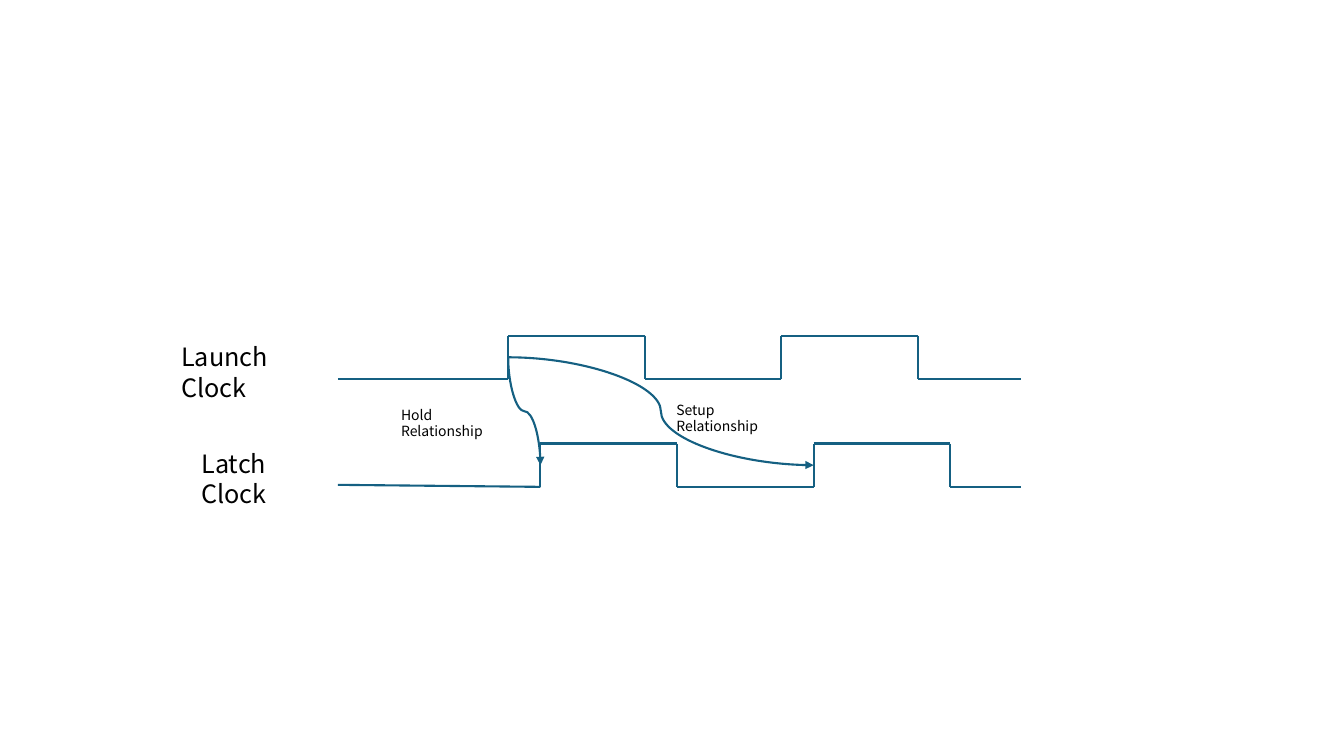
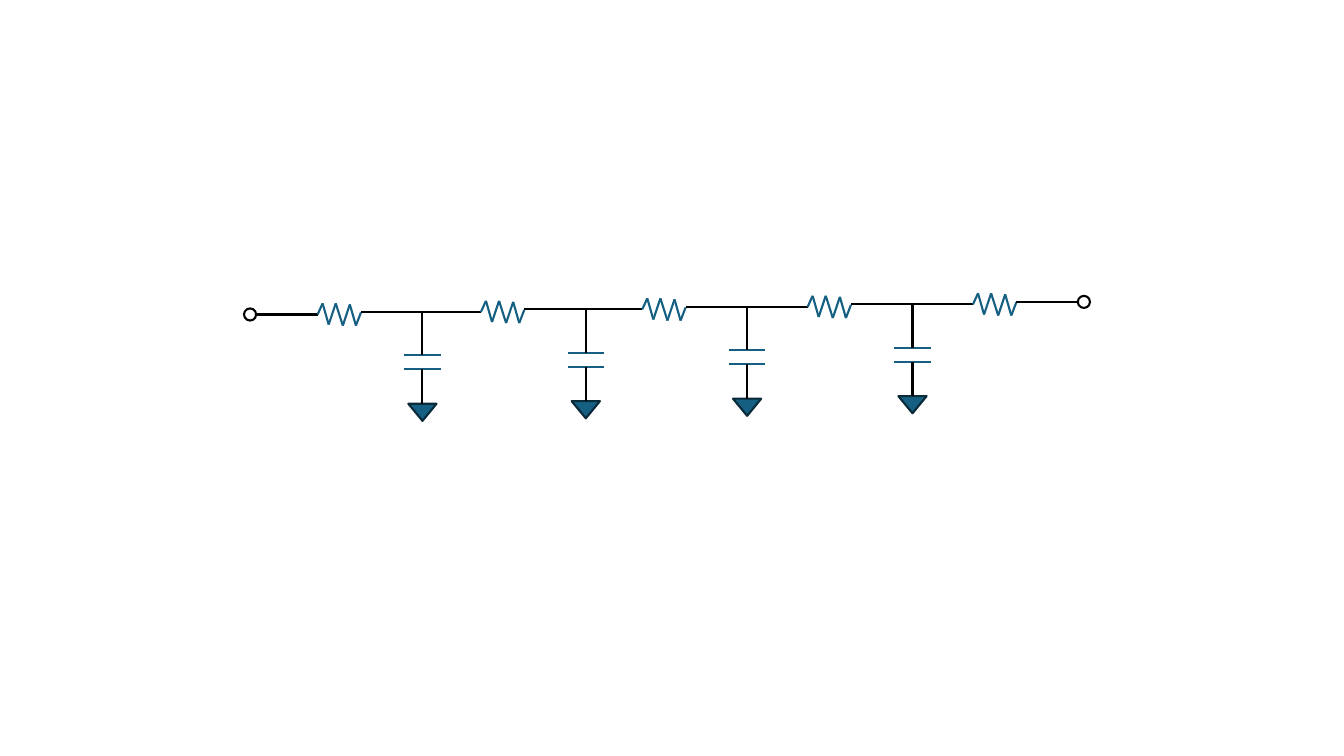
import dataclasses
import itertools

import pptx
import pptx.dml.color
import pptx.enum.shapes
import pptx.enum.text
import pptx.oxml.ns
import pptx.util
from lxml import etree

Inches = pptx.util.Inches
RGB = pptx.dml.color.RGBColor.from_string
SHAPE = pptx.enum.shapes.MSO_SHAPE
CONNECTOR = pptx.enum.shapes.MSO_CONNECTOR
qn = pptx.oxml.ns.qn


@dataclasses.dataclass(frozen=True)
class Theme:
    accent: str = "156082"
    accent_dark: str = "092A39"
    ink: str = "000000"
    font: str = "Noto Sans CJK SC"
    line_pt: float = 1.5
    signal_pt: int = 18
    note_pt: int = 10


THEME = Theme()

# Clock waveforms: signal name, label position and width, lead-in start, first rise, low level
PERIOD = 2.71
SWING = 0.43
WAVE_END = 10.13
CLOCKS = [
    ("Launch Clock", (1.7, 3.34), 1.63, (3.35, 3.76), 5.04, 3.76),
    ("Latch Clock", (1.9, 4.4), 1.44, (3.35, 4.81), 5.36, 4.83),
]
NOTES = [
    ("Setup Relationship", (6.61, 3.93), 1.32),
    ("Hold Relationship", (3.88, 3.98), 1.26),
]

# RC ladder: where each resistor starts, and its outline from there
STAGE_X = [3.15, 4.77, 6.37, 8.01, 9.65]
FIRST_Y, LAST_Y = 3.12, 3.02
STAGE_RISE = (FIRST_Y - LAST_Y) / (len(STAGE_X) - 1)
ZIGZAG = [(0, 0), (0.05, -0.11), (0.11, 0.1), (0.18, -0.11),
          (0.25, 0.11), (0.32, -0.1), (0.38, 0.11), (0.43, -0.02)]
RESISTOR_W = ZIGZAG[-1][0]
TAP_DX = 1.04
PLATE_DY = (0.43, 0.57)
PLATE_HALF = 0.18
GROUND_DY = 0.91
GROUND_W, GROUND_H = 0.28, 0.17
LEAD = 0.61
TERMINAL = 0.12


def set_line(line, color):
    line.color.rgb = RGB(color)
    line.width = pptx.util.Pt(THEME.line_pt)


def add_line(shapes, start, end, color=THEME.accent, kind=CONNECTOR.STRAIGHT):
    c = shapes.add_connector(kind, *(Inches(v) for v in (*start, *end)))
    set_line(c.line, color)
    etree.SubElement(c._element.spPr, qn("a:effectLst"))
    return c


def add_polyline(shapes, points, color=THEME.accent):
    for start, end in itertools.pairwise(points):
        add_line(shapes, start, end, color)


def add_curved_arrow(shapes, start, end, upright=False):
    """S-curve that leaves horizontally, or vertically when upright."""
    if upright:
        # A mirrored box turned by 270 degrees about the same centre
        cx, cy = (start[0] + end[0]) / 2, (start[1] + end[1]) / 2
        half_w, half_h = (end[1] - start[1]) / 2, (end[0] - start[0]) / 2
        start, end = (cx + half_w, cy - half_h), (cx - half_w, cy + half_h)
    c = add_line(shapes, start, end, kind=CONNECTOR.CURVE)
    sp_pr = c._element.spPr
    if upright:
        sp_pr.find(qn("a:xfrm")).set("rot", str(270 * 60000))
    etree.SubElement(sp_pr.find(qn("a:ln")), qn("a:tailEnd"), type="triangle")


def add_label(shapes, text, pos, width, size):
    box = shapes.add_textbox(*(Inches(v) for v in (*pos, width, 0.4)))
    tf = box.text_frame
    tf.word_wrap = True
    tf.auto_size = pptx.enum.text.MSO_AUTO_SIZE.NONE
    p = tf.paragraphs[0]
    p.text = text
    p.font.name = THEME.font
    p.font.size = pptx.util.Pt(size)
    p.font.color.rgb = RGB(THEME.ink)


def add_symbol(shapes, kind, left, top, width, height, line, fill=None):
    sp = shapes.add_shape(kind, *(Inches(v) for v in (left, top, width, height)))
    sp.shadow.inherit = False
    if fill:
        sp.fill.solid()
        sp.fill.fore_color.rgb = RGB(fill)
    else:
        sp.fill.background()
    set_line(sp.line, line)
    return sp


def add_clock(shapes, start, rise, low):
    """Two pulses after a low lead-in."""
    high = low - SWING
    points = [start]
    for pulse in range(2):
        up = rise + pulse * PERIOD
        down = up + PERIOD / 2
        points += [(up, low), (up, high), (down, high), (down, low)]
    add_polyline(shapes, points + [(WAVE_END, low)])


def add_resistor(shapes, x, y):
    group = shapes.add_group_shape()
    add_polyline(group.shapes, [(x + dx, y + dy) for dx, dy in ZIGZAG])


def add_grounded_capacitor(shapes, x, y):
    upper, lower = (y + dy for dy in PLATE_DY)
    ground = y + GROUND_DY
    for plate in (upper, lower):
        add_line(shapes, (x - PLATE_HALF, plate), (x + PLATE_HALF, plate))
    triangle = add_symbol(shapes, SHAPE.ISOSCELES_TRIANGLE, x - GROUND_W / 2, ground,
                          GROUND_W, GROUND_H, THEME.accent_dark, THEME.accent)
    triangle.rotation = 180
    add_line(shapes, (x, y), (x, upper), THEME.ink)
    add_line(shapes, (x, lower), (x, ground), THEME.ink)


def add_terminal(shapes, left, y):
    add_symbol(shapes, SHAPE.OVAL, left, y - TERMINAL / 2, TERMINAL, TERMINAL, THEME.ink)


def build_timing_slide(s):
    for name, pos, width, start, rise, low in CLOCKS:
        add_clock(s.shapes, start, rise, low)
        add_label(s.shapes, name, pos, width, THEME.signal_pt)
    launch_rise, latch_rise = (clock[4] for clock in CLOCKS)
    launch_mid, latch_mid = (clock[5] - SWING / 2 for clock in CLOCKS)
    launch = (launch_rise, launch_mid)
    add_curved_arrow(s.shapes, launch, (latch_rise, latch_mid), upright=True)
    add_curved_arrow(s.shapes, launch, (latch_rise + PERIOD, latch_mid))
    for text, pos, width in NOTES:
        add_label(s.shapes, text, pos, width, THEME.note_pt)


def build_ladder_slide(s):
    first_x, out_x = STAGE_X[0] - LEAD, STAGE_X[-1] + RESISTOR_W + LEAD
    add_line(s.shapes, (first_x, FIRST_Y), (STAGE_X[0], FIRST_Y), THEME.ink)
    wire_ends = STAGE_X[1:] + [out_x]
    for i, (x, wire_end) in enumerate(zip(STAGE_X, wire_ends)):
        y = FIRST_Y - i * STAGE_RISE
        wire_y = y - STAGE_RISE
        add_resistor(s.shapes, x, y)
        add_line(s.shapes, (x + RESISTOR_W, wire_y), (wire_end, wire_y), THEME.ink)
        if wire_end != out_x:
            add_grounded_capacitor(s.shapes, x + TAP_DX, wire_y)
    add_terminal(s.shapes, first_x - TERMINAL, FIRST_Y)
    add_terminal(s.shapes, out_x, LAST_Y - STAGE_RISE)


def main():
    prs = pptx.Presentation()
    prs.slide_width, prs.slide_height = Inches(13.33), Inches(7.5)
    blank = prs.slide_layouts[6]
    for build in (build_timing_slide, build_ladder_slide):
        build(prs.slides.add_slide(blank))
    prs.save("out.pptx")


if __name__ == "__main__":
    main()
